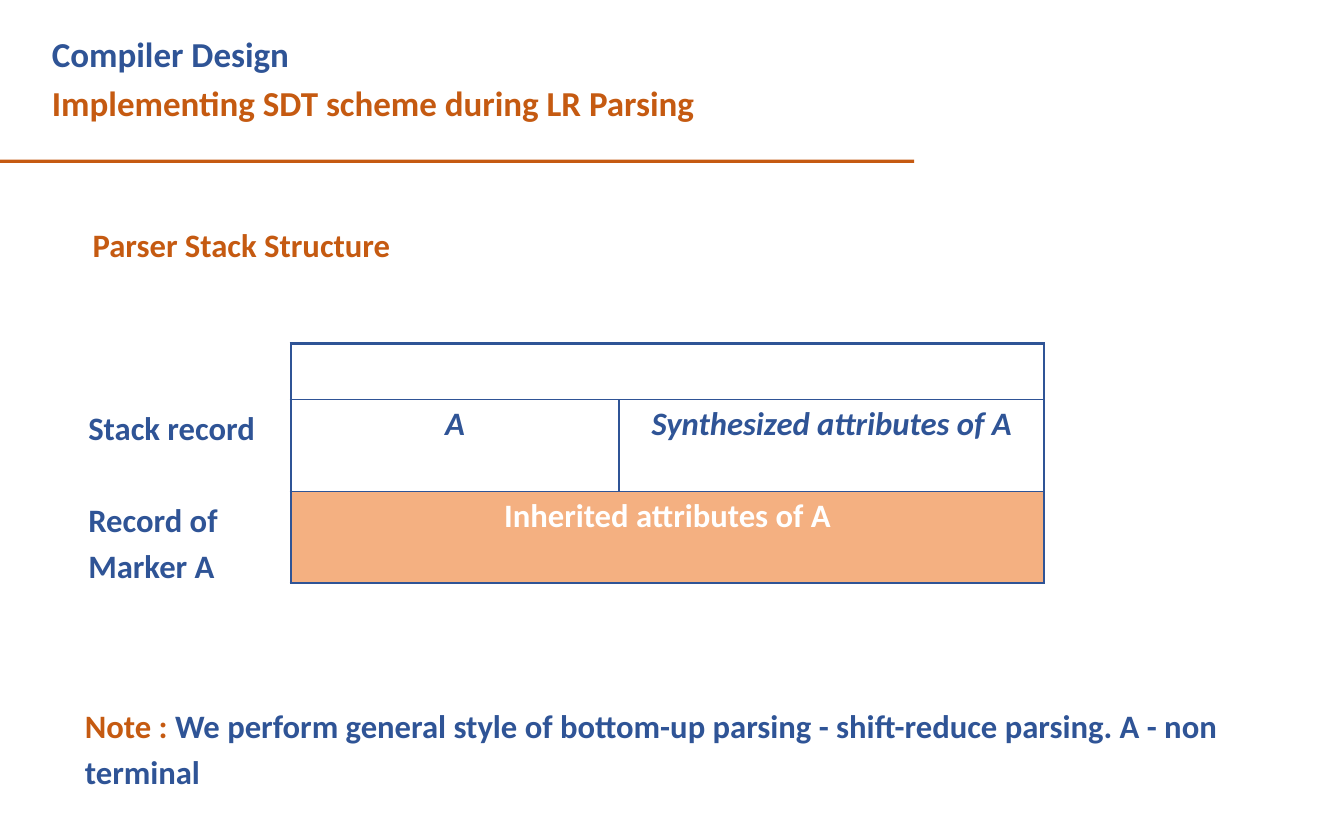
from pptx import Presentation
from pptx.dml.color import RGBColor
from pptx.enum.shapes import MSO_SHAPE
from pptx.enum.text import MSO_ANCHOR, MSO_AUTO_SIZE, PP_ALIGN
from pptx.oxml import parse_xml
from pptx.oxml.ns import nsdecls
from pptx.util import Cm, Pt

RECT = MSO_SHAPE.RECTANGLE
TOP = MSO_ANCHOR.TOP
NO_FIT = MSO_AUTO_SIZE.NONE
LEFT, CENTER = PP_ALIGN.LEFT, PP_ALIGN.CENTER

COLORS = {"blue": "2F5496", "orange": "C55A11", "peach": "F4B081", "white": "FFFFFF"}

# Content: each paragraph is (runs, format), each run is (text, colour)
TITLE = [
    ([("Compiler Design", "blue")], {}),
    ([("Implementing SDT scheme during LR Parsing", "orange")], {"space_before": Pt(6)}),
]
HEADING = [([("Parser Stack Structure", "orange")], {})]
ROW_LABELS = [
    ([("Stack record", "blue")], {}),
    ([("Record of Marker A", "blue")], {"space_before": Pt(39), "line_spacing": 1.19}),
]
NOTE = [
    ([("Note : ", "orange"),
      ("We perform general style of bottom-up parsing - shift-reduce parsing. "
       "A - non terminal", "blue")], {"line_spacing": 1.19}),
]
# Text boxes: paragraphs, (left, top, width, height) in cm
BOXES = [
    (HEADING, (2.8, 6.78, 9.07, 1.24)),
    (NOTE, (2.57, 21.08, 34.34, 2.9)),
    (ROW_LABELS, (2.67, 12.29, 5.4, 5.49)),
]
# Stack rows: cell texts (one text spans the row), text colour, italic, fill, height in cm
STACK = [
    ([""], "blue", False, None, 1.7),
    (["A", "Synthesized attributes of A"], "blue", True, None, 2.77),
    (["Inherited attributes of A"], "white", False, "peach", 2.77),
]
STACK_LEFT, STACK_TOP = 8.79, 10.39
STACK_COLS = [9.93, 12.85]
THICK, THIN = Pt(2.25), Pt(0.75)


def rgb(name):
    return RGBColor.from_string(COLORS[name])


def set_attrs(obj, values):
    for name, value in values.items():
        setattr(obj, name, value)


def write(tf, paragraphs, size, align=LEFT, italic=False):
    for i, (runs, fmt) in enumerate(paragraphs):
        p = tf.paragraphs[0] if i == 0 else tf.add_paragraph()
        set_attrs(p, {"alignment": align, **fmt})
        for text, color in runs:
            r = p.add_run()
            r.text = text
            set_attrs(r.font, {"name": "Calibri", "size": Pt(size),
                               "bold": True, "italic": italic})
            r.font.color.rgb = rgb(color)


def set_frame(tf, left, top):
    set_attrs(tf, {"word_wrap": True, "auto_size": NO_FIT, "vertical_anchor": TOP,
                   "margin_left": Cm(left), "margin_top": Cm(top),
                   "margin_right": 0, "margin_bottom": 0})


def set_borders(cell, widths):
    tc_pr = cell._tc.get_or_add_tcPr()
    for side, width in widths.items():
        tc_pr.append(parse_xml(
            f'<a:ln{side} {nsdecls("a")} w="{width}"><a:solidFill>'
            f'<a:srgbClr val="{COLORS["blue"]}"/></a:solidFill></a:ln{side}>'))


prs = Presentation()
prs.slide_width, prs.slide_height = Cm(40.64), Cm(25.4)
slide = prs.slides.add_slide(prs.slide_layouts[5])

# Title
title = slide.shapes.title
set_attrs(title, {"left": 0, "top": Cm(0.51), "width": Cm(27.7), "height": Cm(4.52)})
set_frame(title.text_frame, 1.57, 0.46)
write(title.text_frame, TITLE, 30)

# Rule under the title
rule = slide.shapes.add_shape(RECT, 0, Cm(4.83), Cm(27.64), Cm(0.1))
rule.shadow.inherit = False
rule.fill.solid()
rule.fill.fore_color.rgb = rgb("orange")
rule.line.fill.background()

# Heading, note and row labels
for paragraphs, box in BOXES:
    tf = slide.shapes.add_textbox(*map(Cm, box)).text_frame
    set_frame(tf, 0, 0.03)
    write(tf, paragraphs, 28)

# Parser stack table
heights = [row[-1] for row in STACK]
table = slide.shapes.add_table(
    len(STACK), len(STACK_COLS), Cm(STACK_LEFT), Cm(STACK_TOP),
    Cm(sum(STACK_COLS)), Cm(sum(heights))).table
set_attrs(table, {"first_row": False, "horz_banding": False})
for column, width in zip(table.columns, STACK_COLS):
    column.width = Cm(width)

last = len(STACK) - 1
for i, (texts, color, italic, fill, height) in enumerate(STACK):
    table.rows[i].height = Cm(height)
    cells = list(table.rows[i].cells)
    for cell in cells:
        set_borders(cell, {"L": THICK, "R": THICK,
                           "T": THICK if i == 0 else THIN,
                           "B": THICK if i == last else THIN})
        if fill:
            cell.fill.solid()
            cell.fill.fore_color.rgb = rgb(fill)
        else:
            cell.fill.background()
    if len(texts) == 1:
        cells[0].merge(cells[-1])
    for cell, text in zip(cells, texts):
        set_attrs(cell, {"margin_left": 0, "margin_top": Cm(0.15),
                         "margin_right": 0, "margin_bottom": 0})
        if text:
            write(cell.text_frame, [([(text, color)], {})], 28, CENTER, italic)

prs.save("out.pptx")
